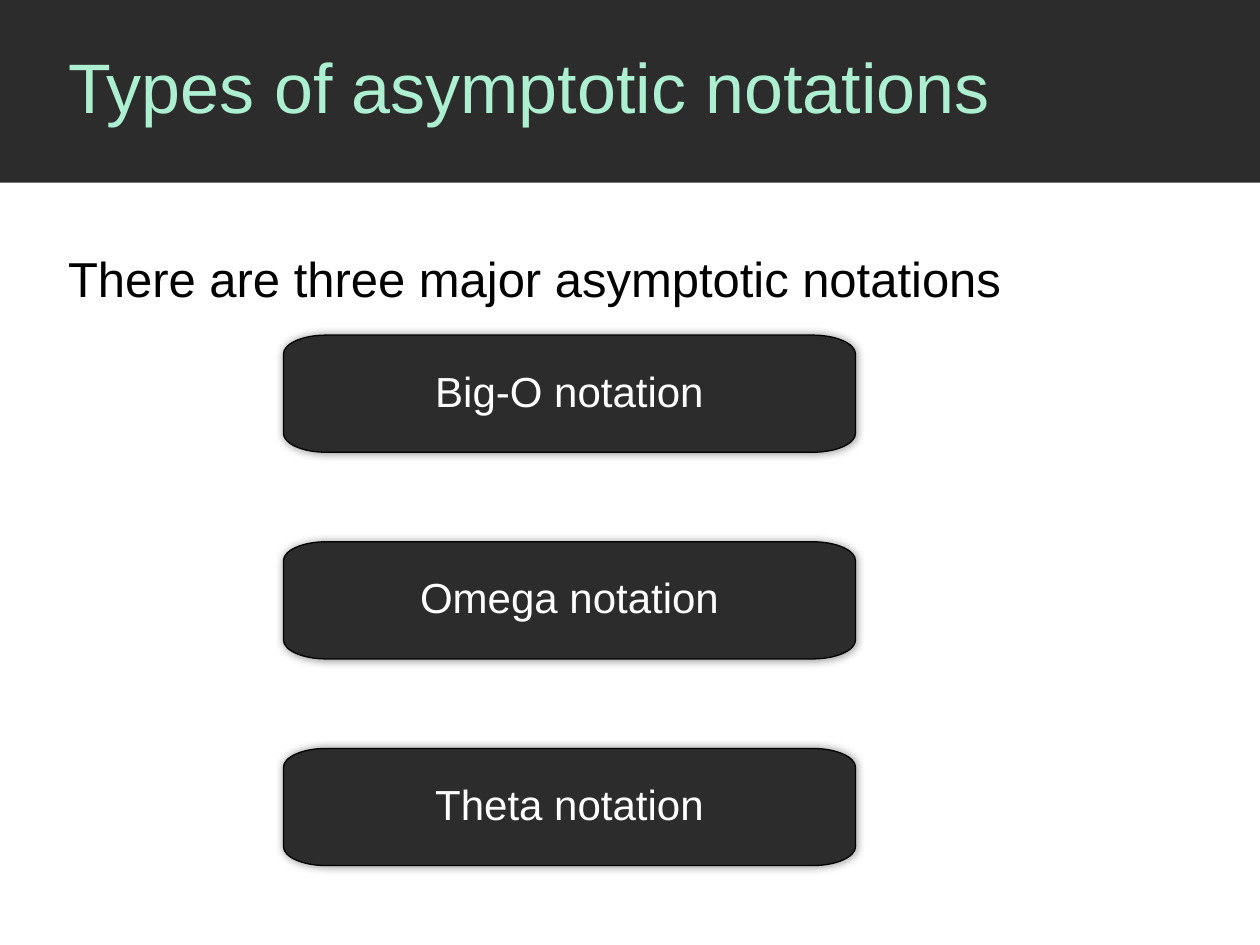
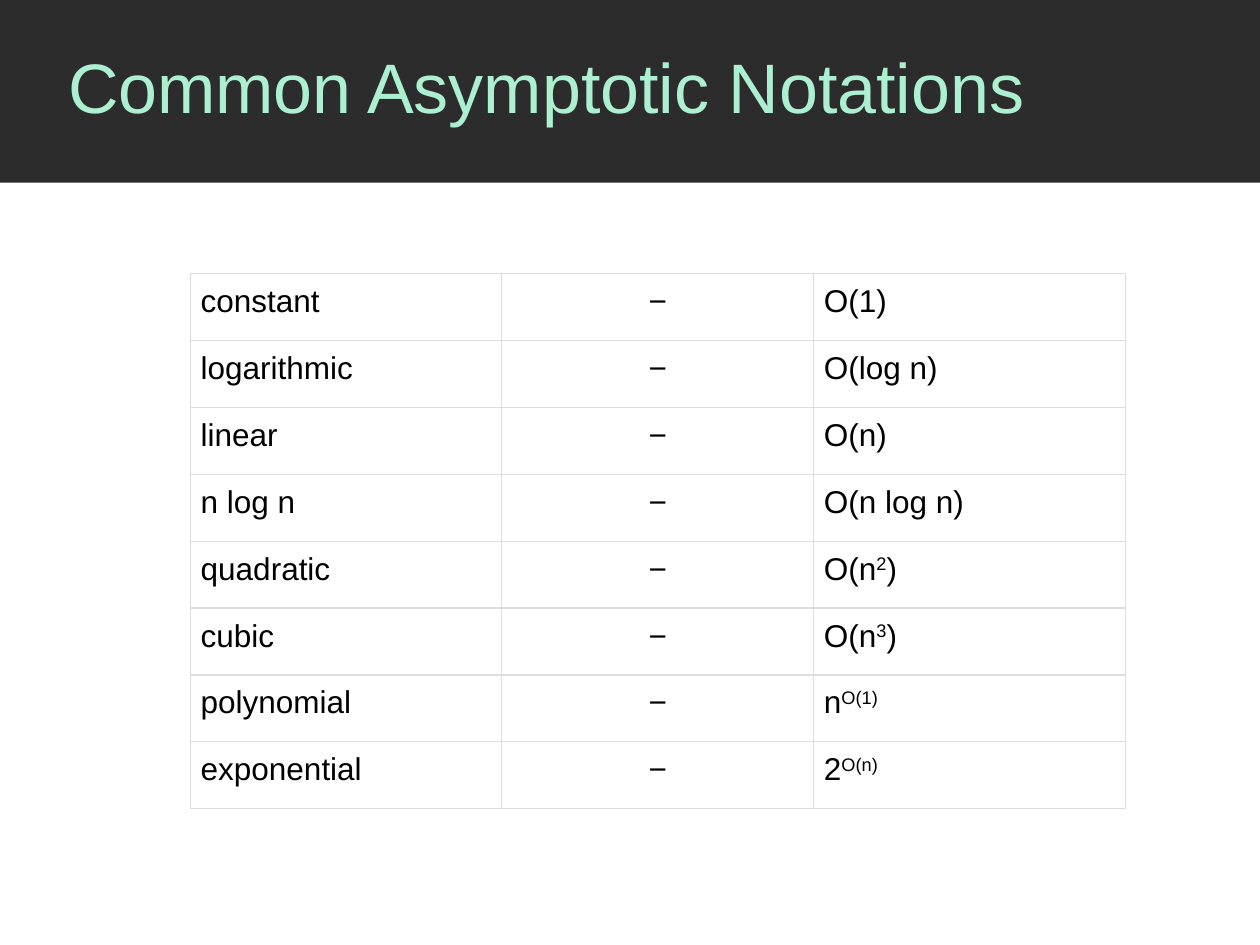
from lxml.etree import SubElement
from pptx import Presentation
from pptx.dml.color import RGBColor
from pptx.enum.shapes import MSO_SHAPE
from pptx.enum.text import MSO_ANCHOR, MSO_AUTO_SIZE, PP_ALIGN
from pptx.oxml import parse_xml
from pptx.oxml.ns import nsdecls, qn
from pptx.util import Inches, Pt

TYPES_TITLE = "Types of asymptotic notations"
TYPES_INTRO = "There are three major asymptotic notations"
NOTATIONS = ["Big-O notation", "Omega notation", "Theta notation"]

COMMON_TITLE = "Common Asymptotic Notations"
# Every second piece of a bound is superscript.
GROWTH_RATES = [
    ("constant", ["Ο(1)"]),
    ("logarithmic", ["Ο(log n)"]),
    ("linear", ["Ο(n)"]),
    ("n log n", ["Ο(n log n)"]),
    ("quadratic", ["Ο(n", "2", ")"]),
    ("cubic", ["Ο(n", "3", ")"]),
    ("polynomial", ["n", "Ο(1)"]),
    ("exponential", ["2", "Ο(n)"]),
]

FONT = "Arial"
CHARCOAL = RGBColor(0x2C, 0x2C, 0x2C)
MINT = RGBColor(0xAD, 0xF0, 0xD1)
BLACK = RGBColor(0, 0, 0)
WHITE = RGBColor(0xFF, 0xFF, 0xFF)
GRID_GRAY = RGBColor(0xDD, 0xDD, 0xDD)

BOX_LEFT, BOX_TOP, BOX_PITCH = Inches(2.25), Inches(2.66), Inches(1.64)
BOX_WIDTH, BOX_HEIGHT = Inches(4.54), Inches(0.93)
CORNER_X, CORNER_Y = Inches(0.34), Inches(0.15)
CURVE_PULL = 0.55  # how far Bézier handles reach towards the corner

TABLE_LEFT, TABLE_TOP, TABLE_WIDTH, TABLE_HEIGHT = 1.51, 2.17, 7.42, 4.25
CELL_MARGIN = Pt(6)


def place(shape, left, top, width, height):
    shape.left, shape.top = Inches(left), Inches(top)
    shape.width, shape.height = Inches(width), Inches(height)


def write(frame, *pieces, size, color=BLACK, align=PP_ALIGN.LEFT,
          anchor=MSO_ANCHOR.TOP, spacing=1.0):
    """Fill the frame with one paragraph; every second piece is superscript."""
    frame.word_wrap = True
    frame.vertical_anchor = anchor
    paragraph = frame.paragraphs[0]
    paragraph.alignment = align
    paragraph.line_spacing = spacing
    paragraph.space_before = Pt(0)
    for index, piece in enumerate(pieces):
        run = paragraph.add_run()
        run.text = piece
        run.font.name, run.font.size = FONT, Pt(size)
        run.font.color.rgb = color
        if index % 2:
            run.font._element.set("baseline", "30000")


def add_titled_slide(prs, layout_name, title):
    slide = prs.slides.add_slide(prs.slide_layouts.get_by_name(layout_name))
    heading = slide.shapes.title
    place(heading, 0.44, 0, 9.56, 1.44)
    heading.text_frame.auto_size = MSO_AUTO_SIZE.NONE
    write(heading.text_frame, title, size=40, color=MINT,
          anchor=MSO_ANCHOR.MIDDLE, spacing=0.9)
    return slide


def move_band_to_master(prs, slide):
    """Draw the title band and move it to the master, behind all else."""
    band = slide.shapes.add_shape(MSO_SHAPE.RECTANGLE, 0, 0, prs.slide_width, Inches(1.45))
    band.shadow.inherit = False
    band.fill.solid()
    band.fill.fore_color.rgb = CHARCOAL
    band.line.fill.background()
    prs.slide_master.placeholders[0]._element.addprevious(band._element)


def box_outline(width, height):
    """Ends of the four corner curves, clockwise from the left edge."""
    return [
        (0, CORNER_Y), (CORNER_X, 0),
        (width - CORNER_X, 0), (width, CORNER_Y),
        (width, height - CORNER_Y), (width - CORNER_X, height),
        (CORNER_X, height), (0, height - CORNER_Y),
    ]


def round_corners(box, outline):
    """Turn every second segment of the outline into a quarter ellipse."""
    segments = list(box._element.iter(qn("a:lnTo")))
    for index in range(0, len(outline), 2):
        start, end = outline[index:index + 2]
        corner = (start[0], end[1]) if index % 4 == 0 else (end[0], start[1])
        handles = [tuple(round(p + CURVE_PULL * (c - p)) for p, c in zip(point, corner))
                   for point in (start, end)]
        segment = segments[index]
        curve = SubElement(segment.getparent(), qn("a:cubicBezTo"))
        for x, y in (*handles, end):
            SubElement(curve, qn("a:pt"), x=str(x), y=str(y))
        segment.getparent().replace(segment, curve)


def add_glow_shadow(shape):
    shape.shadow.inherit = False
    effects = shape._element.spPr.find(qn("a:effectLst"))
    shadow = SubElement(effects, qn("a:outerShdw"), blurRad=str(Pt(5)), dist="0", dir="0",
                        algn="ctr", rotWithShape="0")
    color = SubElement(shadow, qn("a:srgbClr"), val=str(BLACK))
    SubElement(color, qn("a:alpha"), val="40000")


def add_notation_box(slide, notation, top):
    outline = box_outline(BOX_WIDTH, BOX_HEIGHT)
    builder = slide.shapes.build_freeform(*outline[0])
    builder.add_line_segments(outline[1:], close=True)
    box = builder.convert_to_shape(BOX_LEFT, top)
    round_corners(box, outline)
    box.fill.solid()
    box.fill.fore_color.rgb = CHARCOAL
    box.line.color.rgb = BLACK
    box.line.width = Pt(0.75)
    add_glow_shadow(box)
    frame = box.text_frame
    frame.margin_left = frame.margin_right = Inches(0.15)
    frame.margin_top = frame.margin_bottom = Inches(0.1)
    write(frame, notation, size=24, color=WHITE, align=PP_ALIGN.CENTER,
          anchor=MSO_ANCHOR.MIDDLE, spacing=0.9)


def format_cell(cell):
    cell.fill.background()
    cell.margin_left = cell.margin_right = CELL_MARGIN
    cell.margin_top = cell.margin_bottom = CELL_MARGIN
    properties = cell._tc.get_or_add_tcPr()
    for index, side in enumerate("LRTB"):
        properties.insert(index, parse_xml(
            f'<a:ln{side} {nsdecls("a")} w="{Pt(0.75)}"><a:solidFill>'
            f'<a:srgbClr val="{GRID_GRAY}"/></a:solidFill></a:ln{side}>'))


def build_types_slide(prs):
    slide = add_titled_slide(prs, "Title and Content", TYPES_TITLE)
    move_band_to_master(prs, slide)
    intro = slide.placeholders[1]
    place(intro, 0.44, 1.69, 9.33, 1.01)
    intro.text_frame.auto_size = MSO_AUTO_SIZE.NONE
    properties = intro.text_frame.paragraphs[0]._p.get_or_add_pPr()
    properties.set("marL", "0")
    properties.set("indent", "0")
    SubElement(properties, qn("a:buNone"))
    write(intro.text_frame, TYPES_INTRO, size=28, align=PP_ALIGN.JUSTIFY, spacing=1.5)
    for index, notation in enumerate(NOTATIONS):
        add_notation_box(slide, notation, BOX_TOP + index * BOX_PITCH)


def build_common_slide(prs):
    slide = add_titled_slide(prs, "Title Only", COMMON_TITLE)
    table = slide.shapes.add_table(
        len(GROWTH_RATES), 3, Inches(TABLE_LEFT), Inches(TABLE_TOP),
        Inches(TABLE_WIDTH), Inches(TABLE_HEIGHT)).table
    table.first_row = table.horz_banding = False
    for row, (growth, bound) in zip(table.rows, GROWTH_RATES):
        for cell in row.cells:
            format_cell(cell)
        name_cell, dash_cell, bound_cell = row.cells
        write(name_cell.text_frame, growth, size=18)
        write(dash_cell.text_frame, "−", size=18, align=PP_ALIGN.CENTER)
        write(bound_cell.text_frame, *bound, size=18)


def main():
    prs = Presentation()
    prs.slide_width, prs.slide_height = Inches(10), Inches(7.5)
    build_types_slide(prs)
    build_common_slide(prs)
    prs.save("out.pptx")


if __name__ == "__main__":
    main()
